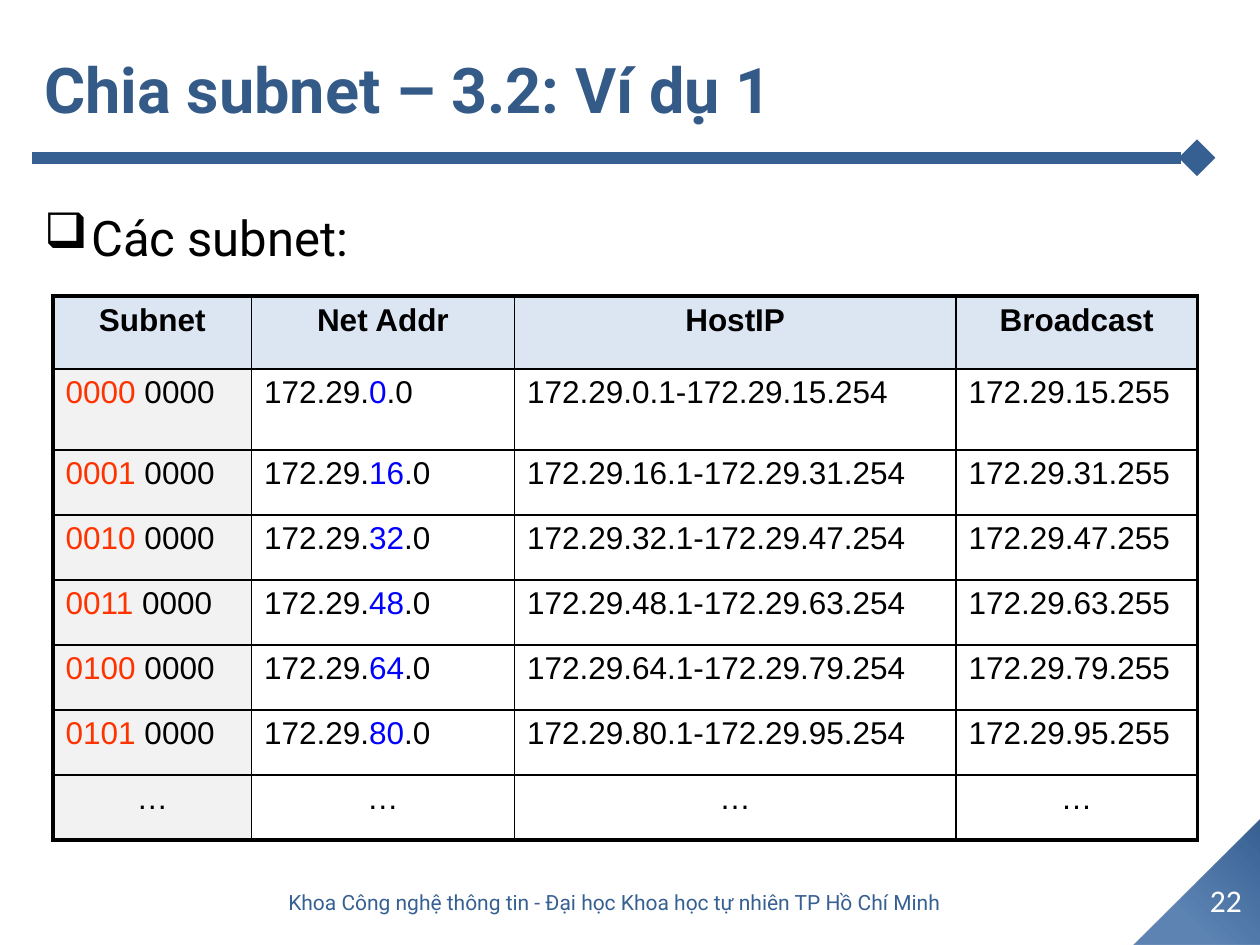
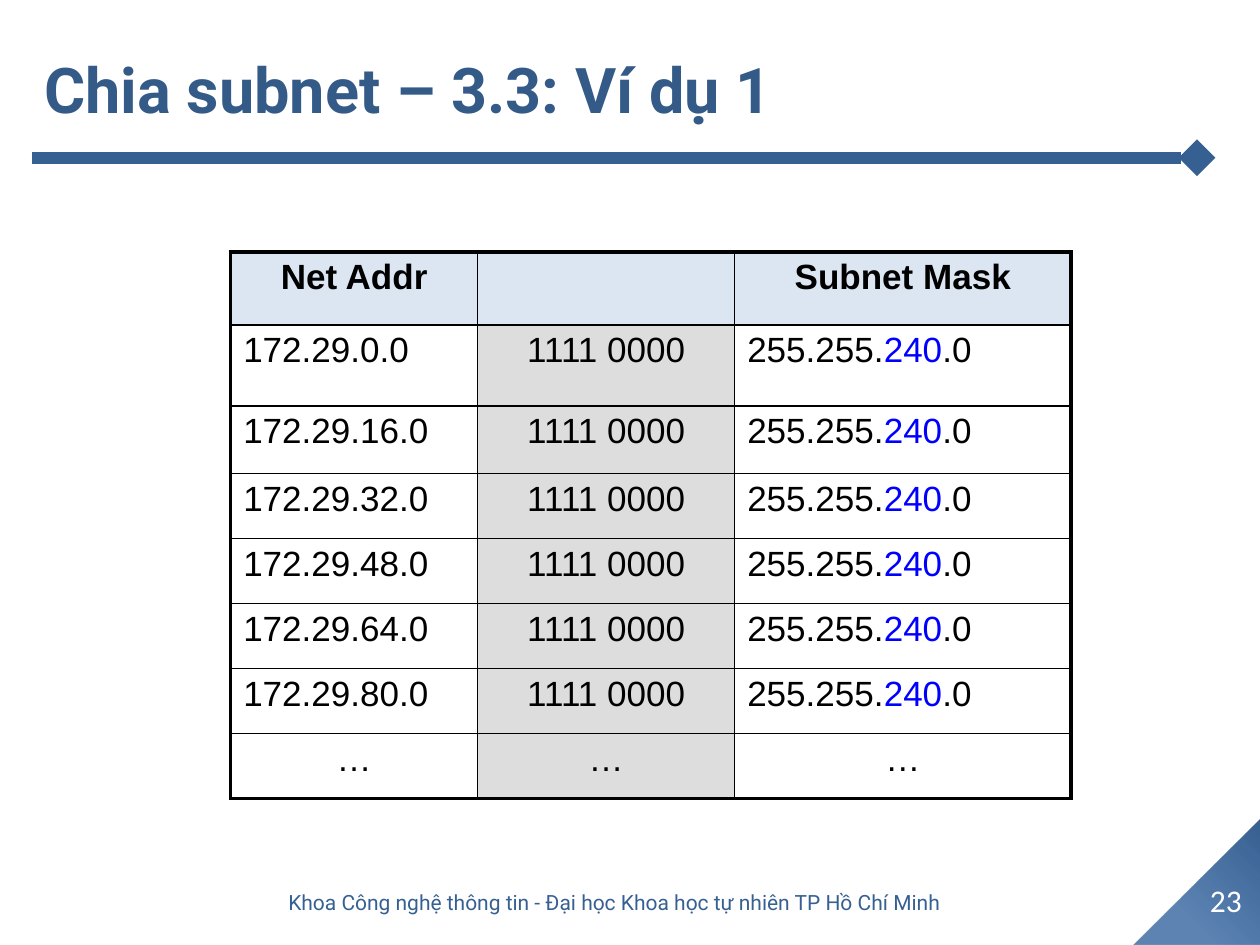
import lxml.etree
import pptx
import pptx.dml.color
import pptx.enum.shapes
import pptx.enum.text
import pptx.oxml
import pptx.oxml.ns
import pptx.util

Cm = pptx.util.Cm
Pt = pptx.util.Pt
ALIGN = pptx.enum.text.PP_ALIGN
ANCHOR = pptx.enum.text.MSO_ANCHOR
SHAPE = pptx.enum.shapes.MSO_SHAPE

COLOURS = {
    "title": "345A88",
    "band": "376092",
    "corner_light": "3D6CA4",
    "header": "DCE6F2",
    "subnet": "F2F2F2",
    "mask": "DDDDDD",
    "black": "000000",
    "white": "FFFFFF",
    "red": "FF3300",
    "blue": "0000FF",
}
FOOTER = "Khoa Công nghệ thông tin - Đại học Khoa học tự nhiên TP Hồ Chí Minh"
THIN, THICK = 1, 2.25


def rgb(name):
    return pptx.dml.color.RGBColor.from_string(COLOURS[name])


def add_xml(parent, tag, **attributes):
    """Append a drawing element to its parent and return it."""
    element = lxml.etree.SubElement(parent, pptx.oxml.ns.qn(tag))
    for key, value in attributes.items():
        element.set(key, str(value))
    return element


class Builder:
    """Holds the deck, its style and the slide being built."""

    def __init__(self):
        self.deck = pptx.Presentation()
        self.deck.slide_width, self.deck.slide_height = Cm(25.4), Cm(19.05)
        self.page = None

    def start_page(self, title, number):
        self.page = self.deck.slides.add_slide(self.deck.slide_layouts[6])
        self.corner()
        self.title_rule()
        self.text(title, (0.64, 0.2, 24.31, 3.18), 36, "title", bold=True,
                  anchor=ANCHOR.MIDDLE)
        self.text(FOOTER, (3.18, 17.68, 18.42, 1.02), 12, "band",
                  align=ALIGN.CENTER, anchor=ANCHOR.MIDDLE)
        self.text(str(number), (24.03, 17.63, 1.37, 1.02), 18, "white",
                  font="Calibri", align=ALIGN.CENTER, anchor=ANCHOR.MIDDLE)

    def corner(self):
        triangle = self.page.shapes.add_shape(
            SHAPE.RIGHT_TRIANGLE, Cm(22.86), Cm(16.51), Cm(2.54), Cm(2.54))
        triangle.rotation = 270
        triangle.shadow.inherit = False
        triangle.line.fill.background()
        # Radial gradient, darkest at the top right
        properties = triangle._element.spPr
        gradient = pptx.oxml.parse_xml(
            f'<a:gradFill {pptx.oxml.ns.nsdecls("a")} rotWithShape="0"/>')
        properties.insert(2, gradient)
        stops = add_xml(gradient, "a:gsLst")
        dark = add_xml(stops, "a:gs", pos=0)
        add_xml(dark, "a:srgbClr", val=COLOURS["band"])
        light = add_xml(stops, "a:gs", pos=68000)
        colour = add_xml(light, "a:srgbClr", val=COLOURS["corner_light"])
        add_xml(colour, "a:alpha", val=83000)
        circle = add_xml(gradient, "a:path", path="circle")
        add_xml(circle, "a:fillToRect", l=100000, b=100000)

    def title_rule(self):
        rule = self.page.shapes.add_connector(
            pptx.enum.shapes.MSO_CONNECTOR.STRAIGHT,
            Cm(0.64), Cm(3.18), Cm(24.13), Cm(3.18))
        rule.line.color.rgb = rgb("band")
        rule.line.width = Pt(7)
        add_xml(rule.line._get_or_add_ln(), "a:tailEnd", type="diamond")
        add_xml(rule._element.spPr, "a:effectLst")

    def text(self, words, place, size, colour, font="Roboto", bold=False,
             align=ALIGN.LEFT, anchor=ANCHOR.TOP):
        box = self.page.shapes.add_textbox(*map(Cm, place))
        box.text_frame.word_wrap = True
        box.text_frame.vertical_anchor = anchor
        para = box.text_frame.paragraphs[0]
        para.text = words
        para.alignment = align
        self.font(para, font, size, bold)
        para.font.color.rgb = rgb(colour)
        return para

    def bullet(self, words, place):
        para = self.text(words, place, 28, "black")
        properties = para._p.get_or_add_pPr()
        properties.set("marL", str(Cm(0.95)))
        properties.set("indent", str(-Cm(0.95)))
        mark = pptx.oxml.parse_xml(
            f'<a:buChar {pptx.oxml.ns.nsdecls("a")} char="❑"/>')
        properties.insert(0, mark)

    def font(self, para, name, size, bold):
        para.font.name = name
        para.font.size = Pt(size)
        para.font.bold = bold

    def table(self, left, top, widths, heights, rows, size, shaded, centred=()):
        """Draw rows of cells; shaded maps a body column to its fill."""
        frame = self.page.shapes.add_table(
            len(rows), len(widths), Cm(left), Cm(top),
            Cm(sum(widths)), Cm(sum(heights)))
        grid = frame.table
        grid.first_row = grid.horz_banding = False
        for column, width in zip(grid.columns, widths):
            column.width = Cm(width)
        last_row, last_column = len(rows) - 1, len(widths) - 1
        for r, row in enumerate(rows):
            grid.rows[r].height = Cm(heights[r])
            for c, spans in enumerate(row):
                cell = grid.cell(r, c)
                middle = r in (0, last_row) or c in centred
                self.cell_text(cell, spans, size, r == 0, middle)
                fill = "header" if r == 0 else shaded.get(c)
                if fill:
                    cell.fill.solid()
                    cell.fill.fore_color.rgb = rgb(fill)
                else:
                    cell.fill.background()
                # Thick outer frame, thin inner lines
                self.borders(cell, {"a:lnL": c == 0, "a:lnR": c == last_column,
                                    "a:lnT": r == 0, "a:lnB": r == last_row})

    def cell_text(self, cell, spans, size, bold, middle):
        para = cell.text_frame.paragraphs[0]
        para.alignment = ALIGN.CENTER if middle else ALIGN.LEFT
        self.font(para, "Arial", size, bold)
        if isinstance(spans, str):
            spans = [(spans, "black")] if spans else []
        for words, colour in spans:
            span = para.add_run()
            span.text = words
            span.font.color.rgb = rgb(colour)

    def borders(self, cell, edges):
        properties = cell._tc.get_or_add_tcPr()
        for index, (tag, outer) in enumerate(edges.items()):
            line = add_xml(properties, tag, w=Pt(THICK if outer else THIN))
            fill = add_xml(line, "a:solidFill")
            add_xml(fill, "a:srgbClr", val=COLOURS["black"])
            properties.insert(index, line)


# Six subnets, each sixteen steps of the third octet
STARTS = range(0, 96, 16)
NET = "172.29."
builder = Builder()

# Slide 22: address ranges
builder.start_page("Chia subnet – 3.2: Ví dụ 1", 22)
builder.bullet("Các subnet:", (0.64, 4.05, 23.93, 13.54))
ranges = [["Subnet", "Net Addr", "HostIP", "Broadcast"]]
for start in STARTS:
    end = start + 15
    ranges.append([
        [(f"{start // 16:04b}", "red"), (" 0000", "black")],
        [(NET, "black"), (str(start), "blue"), (".0", "black")],
        f"{NET}{start}.1-{NET}{end}.254",
        f"{NET}{end}.255",
    ])
ranges.append(["…"] * 4)
builder.table(1.07, 5.97, [4, 5.3, 8.9, 4.87], [1.47, 1.63] + [1.31] * 6,
              ranges, 18, {0: "subnet"})

# Slide 23: subnet masks
builder.start_page("Chia subnet – 3.3: Ví dụ 1", 23)
masks = [["Net Addr", "", "Subnet Mask"]]
for start in STARTS:
    masks.append([
        f"{NET}{start}.0",
        "1111 0000",
        [("255.255.", "black"), ("240", "blue"), (".0", "black")],
    ])
masks.append(["…"] * 3)
builder.table(4.65, 5.08, [4.98, 5.18, 6.78], [1.47, 1.63, 1.37] + [1.31] * 5,
              masks, 20, {1: "mask"}, centred=(1,))

builder.deck.save("out.pptx")
